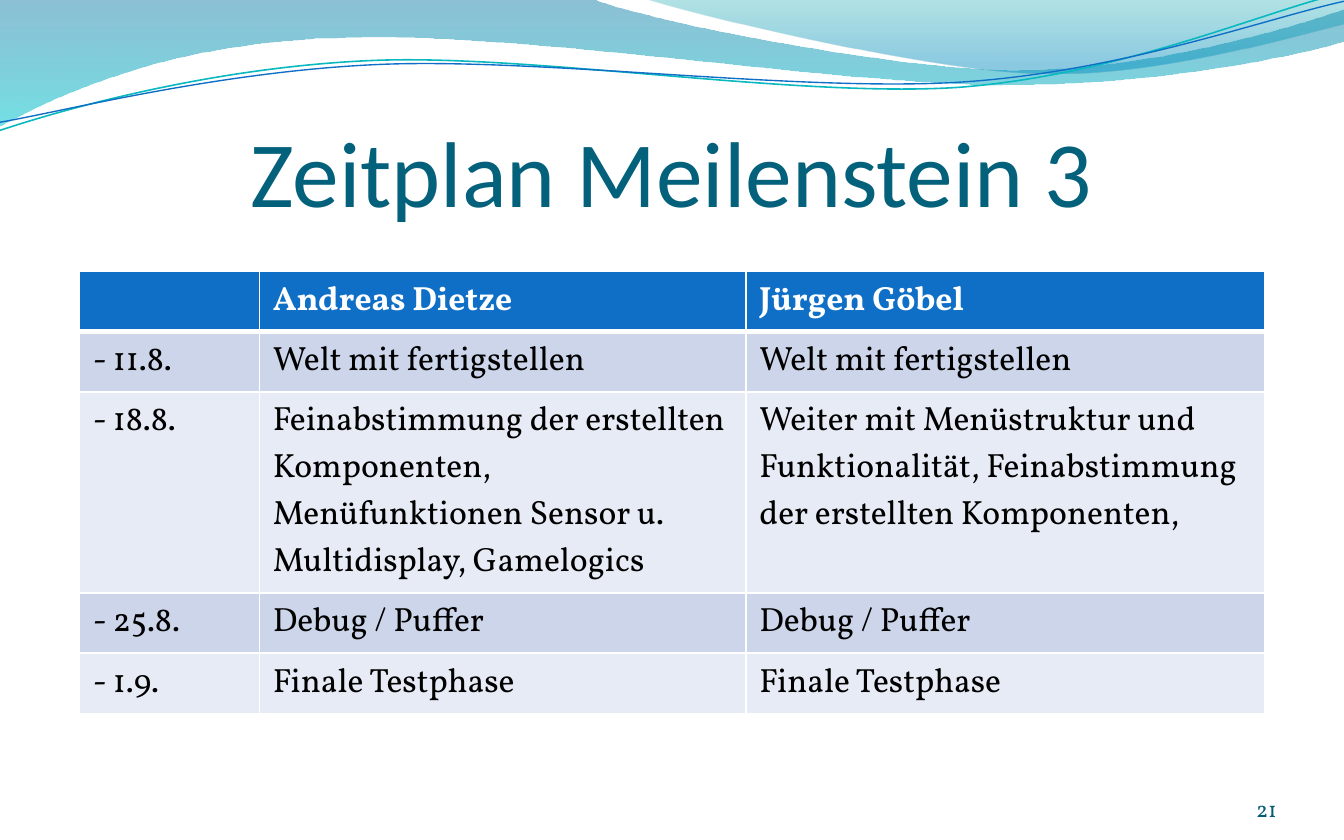
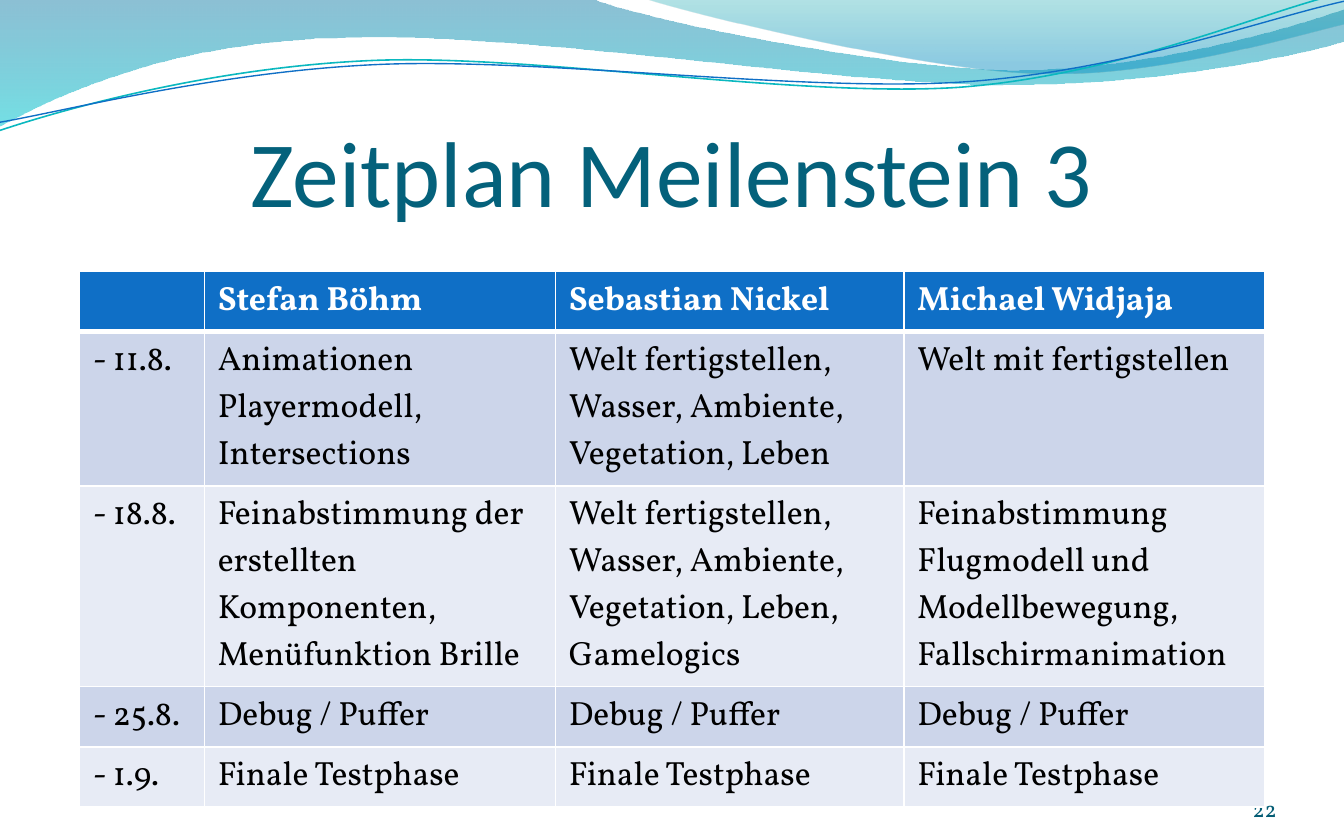
from dataclasses import dataclass

from lxml.etree import SubElement
from pptx import Presentation
from pptx.dml.color import RGBColor as Rgb
from pptx.enum.text import MSO_ANCHOR as Anchor, MSO_AUTO_SIZE as AutoSize, PP_ALIGN as Align
from pptx.oxml.ns import qn
from pptx.util import Inches, Pt

UNIT = Inches(1)  # one column or row of the 10 x 6.25 grid


@dataclass(frozen=True)
class Theme:
    heading_font: str = "Calibri"
    body_font: str = "Vollkorn"
    title_size: float = 50
    table_size: float = 18
    number_size: float = 12
    title: str = "04617B"
    number: str = "045D75"
    header: str = "0F6FC6"
    bands: tuple = ("CCD5EA", "E7EBF5")
    light: str = "FFFFFF"
    dark: str = "000000"
    thin: float = 1
    thick: float = 3


@dataclass(frozen=True)
class Box:
    """Area in grid columns and rows."""
    left: float
    top: float
    width: float
    height: float

    def place(self):
        return [round(n * UNIT) for n in (self.left, self.top, self.width, self.height)]

    def point(self, column, row):
        return round((self.left + column) * UNIT), round((self.top + row) * UNIT)


THEME = Theme()
PAGE = Box(0, 0, 10, 6.25)
BAND = Box(0, 0, 10, 1)
TITLE = Box(0.5, 0.64, 9, 1.04)
NUMBER = Box(8.67, 5.79, 0.83, 0.33)
TABLE = Box(0.59, 2.02, 8.82, 2.05)
FIRST_NUMBER = 21

# Outlines: a start point, then line ends (one point) or curves (three points).
# Gradient stops: position, colour, opacity in percent.
WAVES = [
    ((0, 0),
     [[(4.4, -0.01)],
      [(4.76, 0.14), (6.64, 0.52), (7.58, 0.52)],
      [(8.53, 0.52), (9.58, 0.21), (10, 0.07)],
      [(10.01, 0.3)],
      [(9.83, 0.37), (8.7, 0.63), (7.46, 0.63)],
      [(6.22, 0.63), (3.82, 0.23), (2.57, 0.28)],
      [(1.29, 0.3), (0.46, 0.69), (-0.01, 0.94)],
      [(0, 0)]],
     [(0, "0074A1", 45), (1, "00C6CF", 55)]),
    ((4.79, -0.01),
     [[(5.09, 0.09), (6.82, 0.51), (7.69, 0.54)],
      [(8.56, 0.58), (9.61, 0.27), (10, 0.18)],
      [(10, 0)],
      [(4.79, -0.01)]],
     [(0, "00A1A9", 30), (0.8, "008BBF", 45)]),
]
STRANDS = [
    ((0, 0.97),
     [[(0.48, 0.81), (1.58, 0.5), (2.77, 0.45)],
      [(3.95, 0.4), (5.92, 0.73), (7.13, 0.65)],
      [(8.33, 0.56), (9.39, 0.09), (9.98, -0.05)]],
     "0AB8BF", 0.85),
    ((0, 0.91),
     [[(0.47, 0.83), (1.64, 0.53), (2.83, 0.48)],
      [(4.03, 0.43), (5.97, 0.69), (7.17, 0.61)],
      [(8.36, 0.53), (9.41, 0.14), (10, 0.01)]],
     "0F6FC6", 0.75),
]

DATES = ["- 11.8.", "- 18.8.", "- 25.8.", "- 1.9."]
CLOSING = ["Debug / Puffer", "Finale Testphase"]
SCHEDULES = [
    ([1.34, 3.62, 3.86], {
        "Andreas Dietze": [
            "Welt mit fertigstellen",
            "Feinabstimmung der erstellten Komponenten, "
            "Menüfunktionen Sensor u. Multidisplay, Gamelogics"],
        "Jürgen Göbel": [
            "Welt mit fertigstellen",
            "Weiter mit Menüstruktur und Funktionalität, "
            "Feinabstimmung der erstellten Komponenten,"],
    }),
    ([0.93, 2.61, 2.59, 2.68], {
        "Stefan Böhm": [
            "Animationen Playermodell, Intersections",
            "Feinabstimmung der erstellten Komponenten, Menüfunktion Brille"],
        "Sebastian Nickel": [
            "Welt fertigstellen, Wasser, Ambiente, Vegetation, Leben",
            "Welt fertigstellen, Wasser, Ambiente, Vegetation, Leben, Gamelogics"],
        "Michael Widjaja": [
            "Welt mit fertigstellen",
            "Feinabstimmung Flugmodell und Modellbewegung, Fallschirmanimation"],
    }),
]


def add_run(para, text, font, size, color, bold=False):
    span = para.add_run()
    span.text = text
    span.font.name, span.font.size, span.font.bold = font, Pt(size), bold
    span.font.color.rgb = Rgb.from_string(color)


def bend(shape, parts):
    """Turn each three line ends that belong to a curve into one cubic curve."""
    ends = iter(shape.element.xpath(".//a:lnTo"))
    for part in parts:
        lines = [next(ends) for _ in part]
        if len(part) == 3:
            lines[0].tag = qn("a:cubicBezTo")
            for line in lines[1:]:
                lines[0].append(line[0])
                line.getparent().remove(line)


def add_outline(page, box, start, parts, close):
    builder = page.shapes.build_freeform(*box.point(*start))
    ends = [box.point(*point) for part in parts for point in part]
    builder.add_line_segments(ends, close=close)
    shape = builder.convert_to_shape()
    bend(shape, parts)
    shape.shadow.inherit = False
    return shape


def add_wave(page, box, start, parts, stops):
    shape = add_outline(page, box, start, parts, close=True)
    shape.line.fill.background()
    shape.fill.gradient()
    shape.fill.gradient_angle = 270
    for stop, (position, color, _) in zip(shape.fill.gradient_stops, stops):
        stop.position = position
        stop.color.rgb = Rgb.from_string(color)
    for node, (_, _, opacity) in zip(shape.element.xpath(".//a:gs/a:srgbClr"), stops):
        SubElement(node, qn("a:alpha"), val=str(opacity * 1000))
    return shape


def add_strand(page, box, start, parts, color, weight):
    shape = add_outline(page, box, start, parts, close=False)
    shape.fill.background()
    shape.line.color.rgb = Rgb.from_string(color)
    shape.line.width = Pt(weight)
    return shape


def decorate_master(deck, page, box):
    """Draw the band on a page, then hand it to the master so all pages share it."""
    shapes = [add_wave(page, box, *wave) for wave in WAVES]
    shapes += [add_strand(page, box, *strand) for strand in STRANDS]
    for number, shape in enumerate(shapes, start=100):
        shape.element.xpath(".//p:cNvPr")[0].set("id", str(number))
        deck.slide_master.shapes.element.append(shape.element)


def set_frame(frame, top_inset, align):
    frame.word_wrap = True
    frame.auto_size = AutoSize.NONE
    frame.vertical_anchor = Anchor.BOTTOM
    frame.margin_left = frame.margin_right = frame.margin_bottom = 0
    frame.margin_top = Inches(top_inset)
    para = frame.paragraphs[0]
    para.alignment = align
    return para


def add_title(page, box, text):
    title = page.shapes.title
    title.left, title.top, title.width, title.height = box.place()
    para = set_frame(title.text_frame, 0.05, Align.CENTER)
    add_run(para, text, THEME.heading_font, THEME.title_size, THEME.title)


def add_page_number(page, box, number):
    frame = page.shapes.add_textbox(*box.place()).text_frame
    para = set_frame(frame, 0, Align.RIGHT)
    add_run(para, str(number), THEME.body_font, THEME.number_size, THEME.number)


def set_borders(cell, top, bottom):
    properties = cell._tc.get_or_add_tcPr()
    weights = {"lnL": THEME.thin, "lnR": THEME.thin, "lnT": top, "lnB": bottom}
    for side, weight in weights.items():
        line = SubElement(properties, qn(f"a:{side}"), w=str(Pt(weight)))
        fill = SubElement(line, qn("a:solidFill"))
        SubElement(fill, qn("a:srgbClr"), val=THEME.light)


def style_cell(cell, row, text):
    header = row == 0
    set_borders(cell, THEME.thick if row == 1 else THEME.thin,
                THEME.thick if header else THEME.thin)
    cell.fill.solid()
    color = THEME.header if header else THEME.bands[(row - 1) % 2]
    cell.fill.fore_color.rgb = Rgb.from_string(color)
    if text:
        add_run(cell.text_frame.paragraphs[0], text, THEME.body_font, THEME.table_size,
                THEME.light if header else THEME.dark, header)


def add_schedule(page, box, widths, tasks):
    columns = [["", *DATES]]
    columns += [[person, *work, *CLOSING] for person, work in tasks.items()]
    rows = list(zip(*columns))
    table = page.shapes.add_table(len(rows), len(columns), *box.place()).table
    for column, width in zip(table.columns, widths):
        column.width = round(box.width * width / sum(widths) * UNIT)
    for r, texts in enumerate(rows):
        for c, text in enumerate(texts):
            style_cell(table.cell(r, c), r, text)


def main():
    deck = Presentation()
    _, _, deck.slide_width, deck.slide_height = PAGE.place()
    title_only = deck.slide_layouts[5]
    for number, (widths, tasks) in enumerate(SCHEDULES, start=FIRST_NUMBER):
        page = deck.slides.add_slide(title_only)
        if number == FIRST_NUMBER:
            decorate_master(deck, page, BAND)
        add_title(page, TITLE, "Zeitplan Meilenstein 3")
        add_page_number(page, NUMBER, number)
        add_schedule(page, TABLE, widths, tasks)
    deck.save("out.pptx")


if __name__ == "__main__":
    main()
